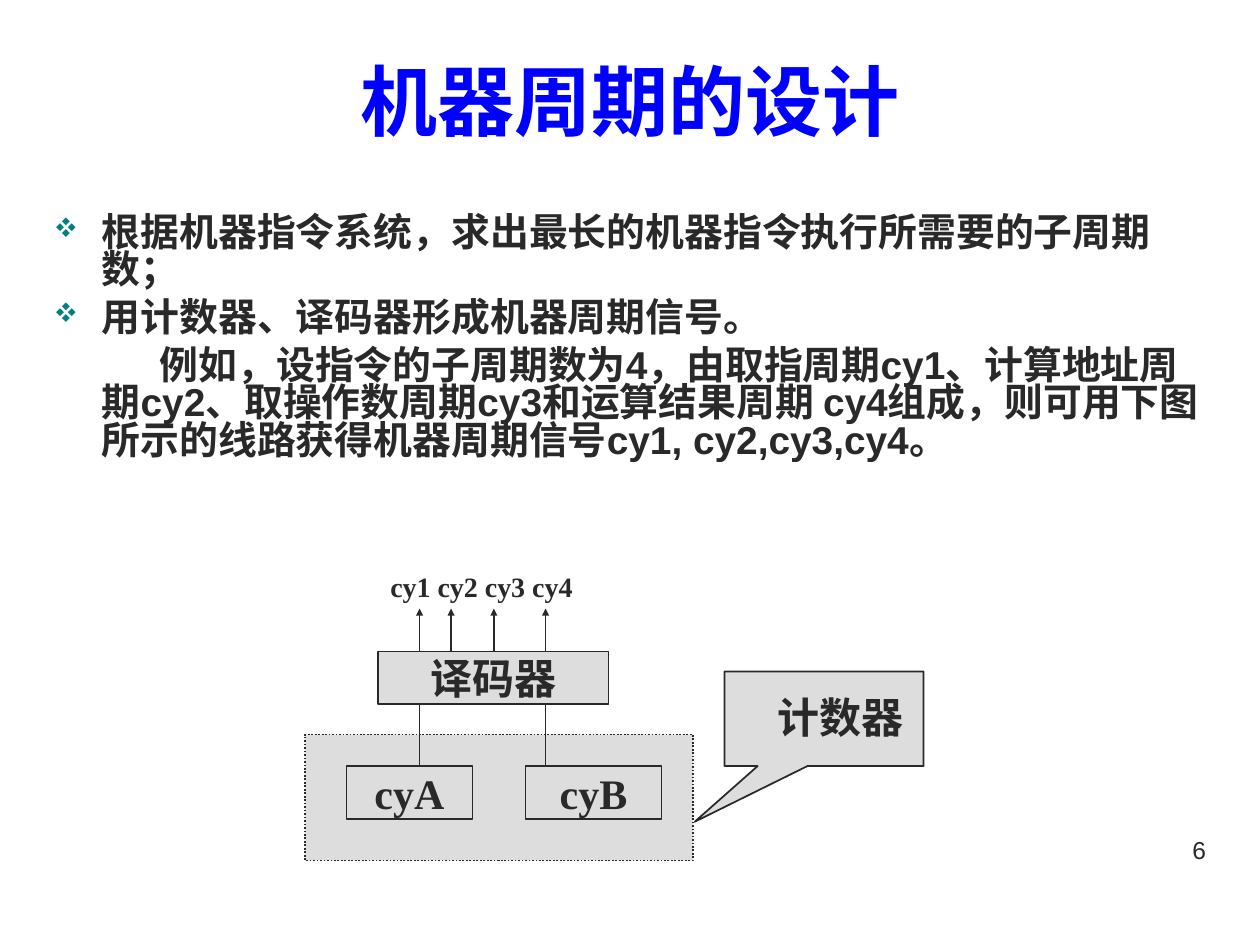
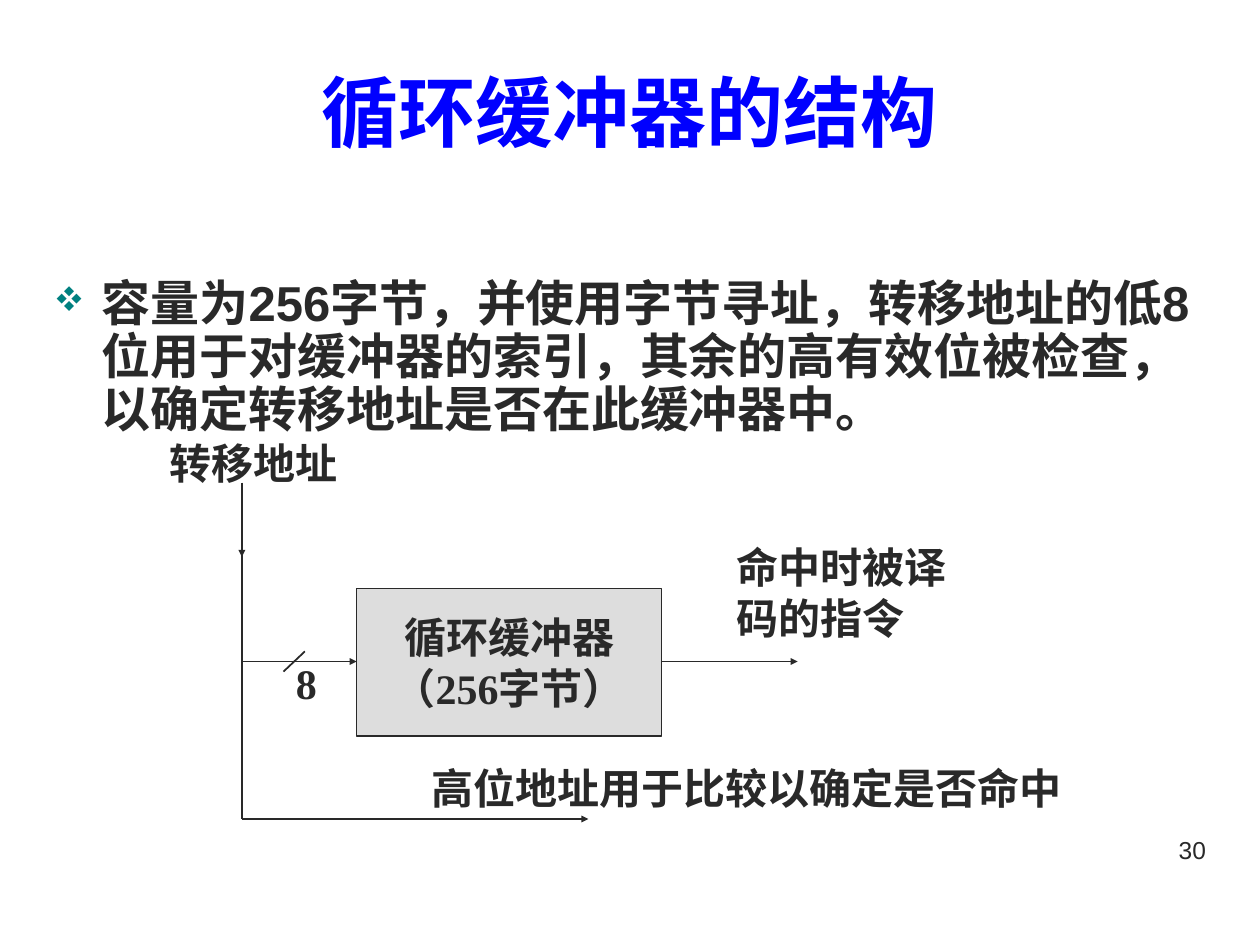
from pptx import Presentation
from pptx.dml.color import RGBColor
from pptx.enum.dml import MSO_LINE
from pptx.enum.shapes import MSO_CONNECTOR, MSO_SHAPE
from pptx.enum.text import MSO_ANCHOR, MSO_AUTO_SIZE, PP_ALIGN
from pptx.oxml.ns import qn
from pptx.util import Inches, Pt
from lxml.etree import SubElement

COLORS = {"title": "0000FF", "ink": "292929", "fill": "DDDDDD", "bullet": "008080"}
TITLE = {"name": "Arial", "size": Pt(44), "bold": True}
NUMBER = {"name": "Arial", "size": Pt(14), "bold": False}
LABEL = {"name": "Times New Roman", "size": Pt(24), "bold": True}
SMALL = {**LABEL, "size": Pt(16)}
LEFT, WIDTH = 0.33, 9.34


def color(name):
    return RGBColor.from_string(COLORS[name])


def inches(*values):
    return [Inches(v) for v in values]


# Shared text and drawing helpers
def write(tf, lines, style, ink="ink", align=PP_ALIGN.LEFT, wrap=True,
          anchor=MSO_ANCHOR.TOP):
    frame = {"word_wrap": wrap, "auto_size": MSO_AUTO_SIZE.NONE,
             "vertical_anchor": anchor}
    for key, value in frame.items():
        setattr(tf, key, value)
    for i, line in enumerate(lines):
        p = tf.add_paragraph() if i else tf.paragraphs[0]
        p.alignment = align
        r = p.add_run()
        r.text = line
        for key, value in style.items():
            setattr(r.font, key, value)
        r.font.color.rgb = color(ink)


def label(s, box, text, style=LABEL, **options):
    sp = s.shapes.add_textbox(*inches(*box))
    write(sp.text_frame, [text], style, **options)


def block(s, box, lines=(), kind=MSO_SHAPE.RECTANGLE, dash=None):
    sp = s.shapes.add_shape(kind, *inches(*box))
    sp.shadow.inherit = False
    sp.fill.solid()
    sp.fill.fore_color.rgb = color("fill")
    sp.line.color.rgb = color("ink")
    sp.line.width = Pt(1)
    if dash:
        sp.line.dash_style = dash
    if lines:
        write(sp.text_frame, lines, LABEL, align=PP_ALIGN.CENTER, wrap=False,
              anchor=MSO_ANCHOR.MIDDLE)
    return sp


def wire(s, x1, y1, x2, y2, arrow=False):
    c = s.shapes.add_connector(MSO_CONNECTOR.STRAIGHT, *inches(x1, y1, x2, y2))
    c.line.color.rgb = color("ink")
    c.line.width = Pt(1)
    if arrow:
        SubElement(c.line._get_or_add_ln(), qn("a:tailEnd"), type="triangle",
                   w="sm", len="sm")
    SubElement(c._element.spPr, qn("a:effectLst"))


# Slide frame: title and page number
def add_slide(prs, title, top, number):
    s = prs.slides.add_slide(prs.slide_layouts[5])
    sp = s.shapes.title
    sp.left, sp.top, sp.width, sp.height = inches(LEFT, top, WIDTH, 1.25)
    write(sp.text_frame, [title], TITLE, "title", PP_ALIGN.CENTER,
          anchor=MSO_ANCHOR.MIDDLE)
    label(s, (7.17, 6.58, 2.5, 0.52), number, NUMBER, align=PP_ALIGN.RIGHT)
    return s


def set_bullet(pPr):
    clr = SubElement(pPr, qn("a:buClr"))
    SubElement(clr, qn("a:srgbClr"), val=COLORS["bullet"])
    SubElement(pPr, qn("a:buSzPct"), val="70000")
    SubElement(pPr, qn("a:buFont"), typeface="Wingdings", charset="2")
    SubElement(pPr, qn("a:buChar"), char="v")


# Body text: bullets first, then optional plain paragraphs
def body(s, top, height, bullets, size, spacing, plain=()):
    sp = s.shapes.add_textbox(*inches(LEFT, top, WIDTH, height))
    tf = sp.text_frame
    write(tf, [*bullets, *plain], {**TITLE, "size": Pt(size)})
    for i, p in enumerate(tf.paragraphs):
        p.line_spacing = spacing
        if i:
            p.space_before = Pt(6)
        is_bullet = i < len(bullets)
        pPr = p._p.get_or_add_pPr()
        pPr.set("marL", str(Inches(0.38)))
        pPr.set("indent", str(Inches(-0.38 if is_bullet else 0.46)))
        pPr.set("hangingPunct", "0")
        if is_bullet:
            set_bullet(pPr)


def cycle_diagram(s, x, y):
    # Decoder and counter registers
    decoder_top, decoder_bottom, register_top = y + 0.7, y + 1.11, y + 1.61
    block(s, (x + 0.58, decoder_top, 1.83, 0.42), ["译码器"])
    block(s, (x, y + 1.36, 3.08, 1), dash=MSO_LINE.ROUND_DOT)
    for dx, width, name in ((0.33, 1, "cyA"), (1.75, 1.08, "cyB")):
        block(s, (x + dx, register_top, width, 0.42), [name])
    # Register inputs, with a contact point, and cycle outputs
    for dx in (0.91, 1.91):
        wire(s, x + dx, decoder_bottom, x + dx, register_top)
    wire(s, x + 0.58, register_top, x + 0.58, register_top)
    for dx in (0.91, 1.16, 1.5, 1.91):
        wire(s, x + dx, decoder_top, x + dx, y + 0.36, arrow=True)
    label(s, (x + 0.58, y, 1.83, 0.37), "cy1 cy2 cy3 cy4", SMALL)
    # Counter callout
    callout = block(s, (x + 3.33, y + 0.86, 1.58, 0.75),
                    kind=MSO_SHAPE.RECTANGULAR_CALLOUT)
    callout.adjustments[0] = -0.65
    callout.adjustments[1] = 1.09
    label(s, (x + 3.65, y + 0.97, 1.2, 0.5), "计数器", wrap=False)


def buffer_diagram(s, x, y):
    bus, middle, bottom = x + 0.67, y + 1.83, y + 3.08
    # Address bus
    wire(s, bus, y + 0.41, bus, bottom)
    wire(s, bus, y + 0.75, bus, y + 1, arrow=True)
    wire(s, bus, bottom, x + 3.42, bottom, arrow=True)
    # Buffer with its input and output
    block(s, (x + 1.58, y + 1.25, 2.42, 1.17), ["循环缓冲器", "（256字节）"])
    wire(s, bus, middle, x + 1.58, middle, arrow=True)
    wire(s, x + 4, middle, x + 5.08, middle, arrow=True)
    wire(s, x + 1.17, middle - 0.08, x + 1, middle + 0.08)
    # Labels
    for dx, dy, width, height, text in (
            (0, 0, 1.92, 0.5, "转移地址"),
            (1, 1.75, 0.33, 0.5, "8"),
            (4.5, 0.83, 2.08, 0.9, "命中时被译码的指令"),
            (2.08, 2.58, 5.58, 0.5, "高位地址用于比较以确定是否命中")):
        label(s, (x + dx, y + dy, width, height), text)


def main():
    prs = Presentation()
    prs.slide_width, prs.slide_height = inches(10, 7.5)

    s = add_slide(prs, "机器周期的设计", 0.17, "6")
    body(s, 1.67, 2.42,
         ["根据机器指令系统，求出最长的机器指令执行所需要的子周期数；",
          "用计数器、译码器形成机器周期信号。"], 22.2, 0.8,
         ["例如，设指令的子周期数为4，由取指周期cy1、计算地址周期cy2、"
          "取操作数周期cy3和运算结果周期 cy4组成，则可用下图所示的线路"
          "获得机器周期信号cy1, cy2,cy3,cy4。"])
    cycle_diagram(s, 2.42, 4.47)

    s = add_slide(prs, "循环缓冲器的结构", 0.25, "30")
    body(s, 2.17, 1.37,
         ["容量为256字节，并使用字节寻址，转移地址的低8位用于对缓冲器的索引，"
          "其余的高有效位被检查，以确定转移地址是否在此缓冲器中。"], 28, 0.9)
    buffer_diagram(s, 1.25, 3.42)

    prs.save("out.pptx")


if __name__ == "__main__":
    main()
